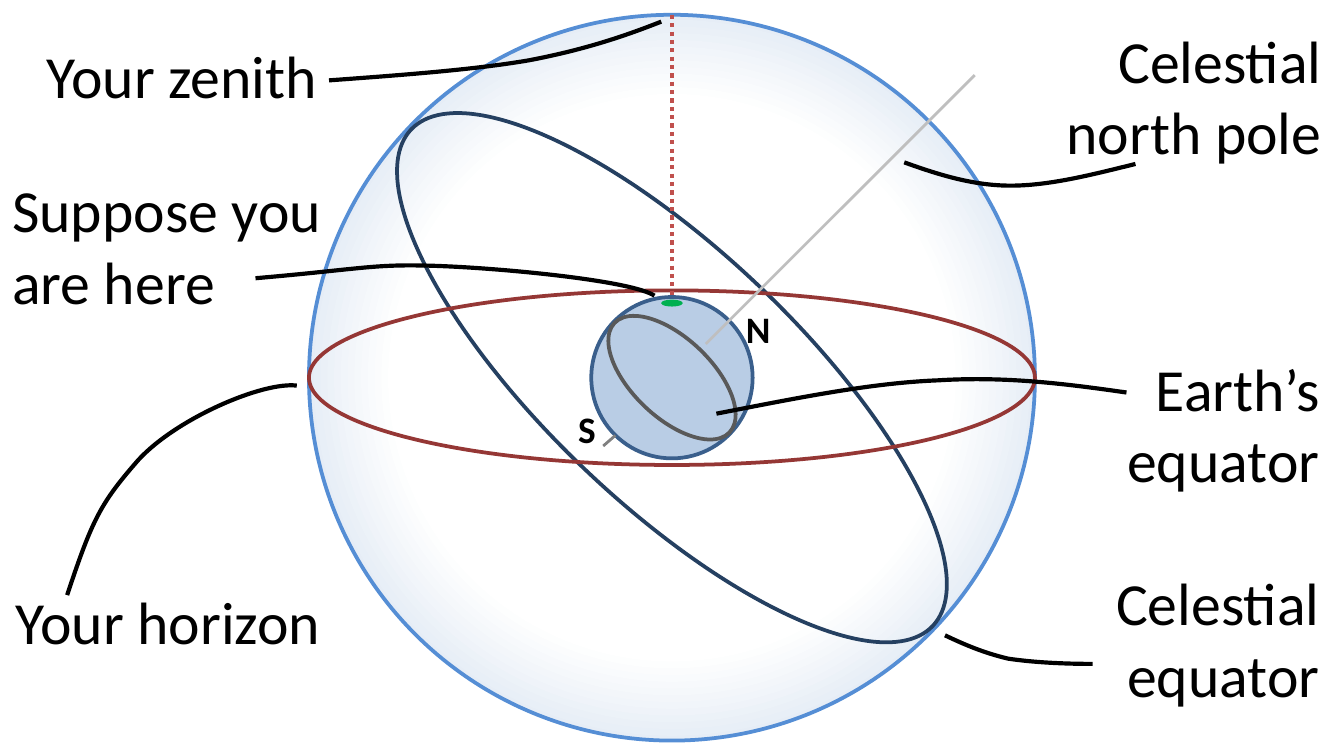
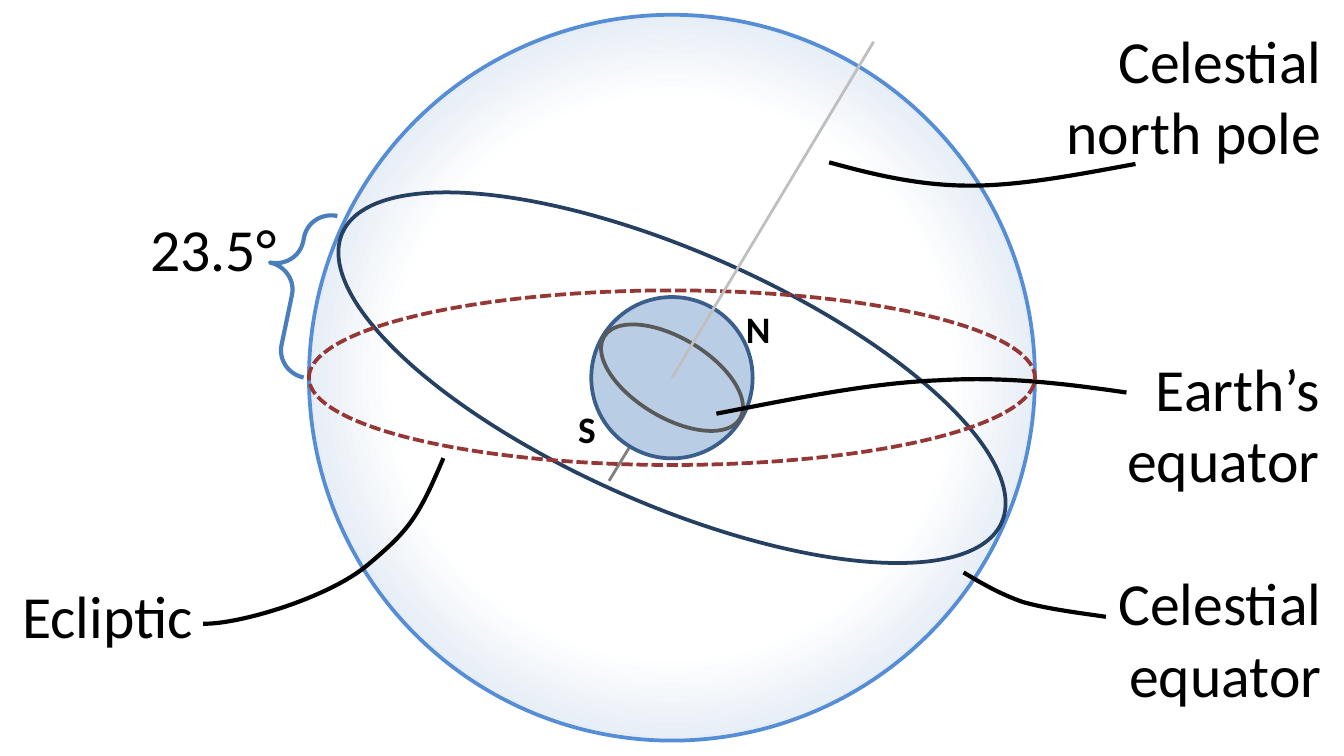
from math import cos, radians, sin

from lxml import etree
from pptx import Presentation
from pptx.dml.color import RGBColor
from pptx.enum.dml import MSO_LINE_DASH_STYLE as Dash
from pptx.enum.shapes import MSO_CONNECTOR, MSO_SHAPE as Shape
from pptx.enum.text import MSO_AUTO_SIZE as AutoSize, PP_ALIGN as Align
from pptx.oxml.ns import qn
from pptx.util import Cm, Pt

COLORS = {
    "ink": "000000", "white": "FFFFFF", "pale_blue": "B9CDE5",
    "sphere": "558ED5", "earth": "3A5F8C", "earth_equator": "595959",
    "celestial_equator": "254061", "horizon": "953735", "zenith": "C0504D",
    "north_axis": "BFBFBF", "south_axis": "808080",
    "observer": "00B050", "brace": "4B7EBC",
}
FONT = "Calibri"
CENTER = (12.7, 7.14)
SPHERE_SIZE = 13.72
ONE_LINE, TWO_LINES = 1.63, 3.0


def color(name):
    return RGBColor.from_string(COLORS[name])


def turn(points, degrees):
    """Turn points clockwise about the middle of the first and last one."""
    (x0, y0), (x1, y1) = points[0], points[-1]
    mid_x, mid_y = (x0 + x1) / 2, (y0 + y1) / 2
    c, s = cos(radians(degrees)), sin(radians(degrees))
    return [(mid_x + (x - mid_x) * c - (y - mid_y) * s,
             mid_y + (x - mid_x) * s + (y - mid_y) * c) for x, y in points]


def lines_to_curves(shape):
    """Join each three line segments of a freeform into one cubic curve."""
    outline = next(shape.element.iter(qn("a:path")))
    segments = outline.findall(qn("a:lnTo"))
    for i in range(0, len(segments), 3):
        curve = etree.SubElement(outline, qn("a:cubicBezTo"))
        for segment in segments[i:i + 3]:
            curve.append(segment[0])
            outline.remove(segment)


class SkyDiagram:
    """Draws on the current slide; all lengths are in centimetres."""

    def __init__(self, deck):
        self.deck = deck
        self.shapes = None

    def new_slide(self):
        self.shapes = self.deck.slides.add_slide(self.deck.slide_layouts[6]).shapes

    def outline(self, shape, name, width, dash=None):
        shape.line.color.rgb = color(name)
        shape.line.width = Pt(width)
        if dash:
            shape.line.dash_style = dash

    def preset(self, kind, left, top, width, height, line=None, fill=None,
               weight=2, dash=None, rotation=0):
        shape = self.shapes.add_shape(kind, Cm(left), Cm(top), Cm(width), Cm(height))
        shape.shadow.inherit = False
        shape.rotation = rotation
        if fill:
            shape.fill.solid()
            shape.fill.fore_color.rgb = color(fill)
        else:
            shape.fill.background()
        if line:
            self.outline(shape, line, weight, dash)
        else:
            shape.line.fill.background()
        return shape

    def ellipse(self, width, height, center=CENTER, **style):
        x, y = center
        return self.preset(Shape.OVAL, x - width / 2, y - height / 2,
                           width, height, **style)

    def sphere(self):
        """Celestial sphere, white inside and shading to blue at its rim."""
        globe = self.ellipse(SPHERE_SIZE, SPHERE_SIZE, line="sphere")
        globe.fill.gradient()
        for stop, (position, name) in zip(globe.fill.gradient_stops,
                                          ((0.54, "white"), (1, "pale_blue"))):
            stop.position = position
            stop.color.rgb = color(name)
        gradient = globe.element.spPr.find(qn("a:gradFill"))
        radial = etree.Element(qn("a:path"), {"path": "circle"})
        etree.SubElement(radial, qn("a:fillToRect"),
                         {side: "50000" for side in "ltrb"})
        gradient.replace(gradient.find(qn("a:lin")), radial)

    def earth(self):
        self.ellipse(3.05, 3.05, line="earth", fill="pale_blue")

    def equators(self, earth_tilt, sky_tilt):
        self.ellipse(3, 1.5, line="earth_equator", rotation=earth_tilt)
        self.ellipse(13.61, 4.78, line="celestial_equator", rotation=sky_tilt)

    def horizon(self, dash=None):
        self.ellipse(SPHERE_SIZE, 3.3, line="horizon", dash=dash)

    def line(self, start, end, name, width=1.5, dash=None):
        connector = self.shapes.add_connector(
            MSO_CONNECTOR.STRAIGHT, *(Cm(value) for value in start + end))
        self.outline(connector, name, width, dash)
        etree.SubElement(connector.element.spPr, qn("a:effectLst"))

    def leader(self, *knots, rotation=0):
        """Curve from a label to its part: start, control, control, end, ..."""
        start, *rest = [(Cm(x), Cm(y)) for x, y in turn(knots, -rotation)]
        builder = self.shapes.build_freeform(*start)
        builder.add_line_segments(rest, close=False)
        curve = builder.convert_to_shape()
        lines_to_curves(curve)
        curve.rotation = rotation
        curve.shadow.inherit = False
        curve.fill.background()
        self.outline(curve, "ink", 2.25)

    def label(self, text, left, top, width=6.38, height=TWO_LINES,
              size=32, bold=False, align=Align.LEFT):
        box = self.shapes.add_textbox(Cm(left), Cm(top), Cm(width), Cm(height))
        frame = box.text_frame
        frame.word_wrap = True
        frame.auto_size = AutoSize.SHAPE_TO_FIT_TEXT
        paragraph = frame.paragraphs[0]
        paragraph.alignment = align
        run = paragraph.add_run()
        run.text = text
        run.font.name = FONT
        run.font.size = Pt(size)
        run.font.bold = bold
        run.font.color.rgb = color("ink")

    def shared_labels(self, equator_left):
        self.label("Celestial north pole", 18.85, 0.32, align=Align.RIGHT)
        for pole, left, top in (("N", 13.64, 5.66), ("S", 10.34, 7.55)):
            self.label(pole, left, top, 1.17, 1.12, size=20, bold=True,
                       align=Align.RIGHT)
        self.label("Celestial equator", equator_left, 10.57, align=Align.RIGHT)
        self.label("Earth’s equator", 20.31, 6.52, 4.88, align=Align.RIGHT)
        self.leader((13.54, 7.82), (14.99, 7.54), (16.43, 7.24), (17.73, 7.19),
                    (19.02, 7.11), (20.17, 7.26), (21.29, 7.42))


def draw_horizon_view(sky):
    sky.new_slide()
    sky.sphere()
    sky.earth()
    sky.line((11.4, 8.43), (11.63, 8.23), "south_axis")
    sky.equators(43.6, 43.6)
    sky.horizon()
    sky.line((13.34, 6.5), (18.42, 1.42), "north_axis")
    sky.label("Your zenith", 0.63, 0.61, 5.72, ONE_LINE)
    sky.line((12.7, 0.28), (12.7, 5.61), "zenith", 2.25, Dash.ROUND_DOT)
    sky.leader((6.22, 1.52), (7.59, 1.42), (8.97, 1.32), (10.01, 1.14),
               (11.05, 0.94), (11.79, 0.69), (12.5, 0.41), rotation=339.3)
    sky.ellipse(0.41, 0.13, center=(12.7, 5.73), fill="observer")
    sky.label("Suppose you are here", -0.02, 3.14)
    sky.leader((4.83, 5.26), (6.91, 5.08), (7.06, 4.98), (8.33, 5.03),
               (9.6, 5.08), (11.94, 5.31), (12.37, 5.59))
    sky.shared_labels(equator_left=18.81)
    sky.label("Your horizon", 0.05, 10.92, height=ONE_LINE)
    sky.leader((1.27, 11.25), (1.75, 9.8), (1.91, 9.5), (2.62, 8.69),
               (3.35, 7.9), (4.98, 7.21), (5.61, 7.29))
    # Celestial north pole and celestial equator
    sky.leader((17.09, 3.07), (17.73, 3.3), (18.39, 3.51), (19.1, 3.51),
               (19.84, 3.51), (20.65, 3.3), (21.46, 3.1))
    sky.leader((17.86, 12.01), (18.24, 12.19), (18.59, 12.34), (19.05, 12.45),
               (19.51, 12.52), (20.09, 12.55), (20.65, 12.55))


def draw_ecliptic_view(sky):
    sky.new_slide()
    sky.sphere()
    sky.line((11.51, 9.09), (13.08, 6.5), "south_axis")
    sky.earth()
    sky.equators(31.1, 23.7)
    sky.shared_labels(equator_left=18.85)
    sky.label("Ecliptic", 0.17, 10.81, 3.76, ONE_LINE)
    sky.leader((8.38, 8.66), (7.9, 9.8), (7.72, 10.03), (6.96, 10.67),
               (6.22, 11.3), (4.5, 11.81), (3.84, 11.79))
    # Celestial north pole and celestial equator
    sky.leader((15.67, 3.07), (16.51, 3.3), (17.37, 3.51), (18.34, 3.51),
               (19.3, 3.51), (20.37, 3.3), (21.46, 3.1))
    sky.leader((18.21, 10.82), (18.54, 11.02), (18.9, 11.23), (19.33, 11.38),
               (19.79, 11.51), (20.35, 11.58), (20.9, 11.66), rotation=6.6)
    sky.horizon(dash=Dash.SQUARE_DOT)
    sky.line(CENTER, (16.51, 0.79), "north_axis")
    tilt_brace = sky.preset(Shape.LEFT_BRACE, 5, 3.94, 1.07, 3.12, line="brace",
                            weight=2.25, rotation=11.8)
    tilt_brace.adjustments[0] = 0.48
    tilt_brace.adjustments[1] = 0.36
    sky.label("23.5°", 2.59, 3.87, 3.76, ONE_LINE)


def main():
    deck = Presentation()
    deck.slide_width, deck.slide_height = Cm(25.4), Cm(14.29)
    sky = SkyDiagram(deck)
    draw_horizon_view(sky)
    draw_ecliptic_view(sky)
    deck.save("out.pptx")


if __name__ == "__main__":
    main()
